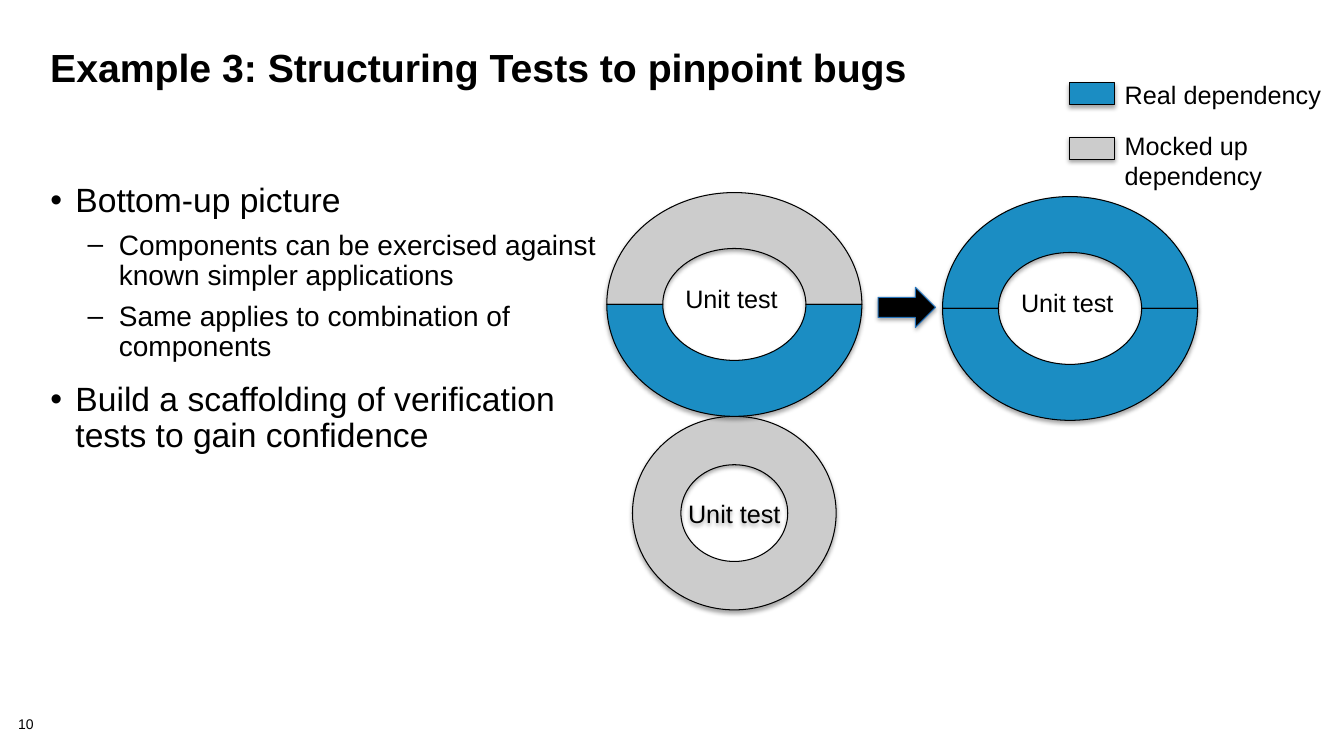
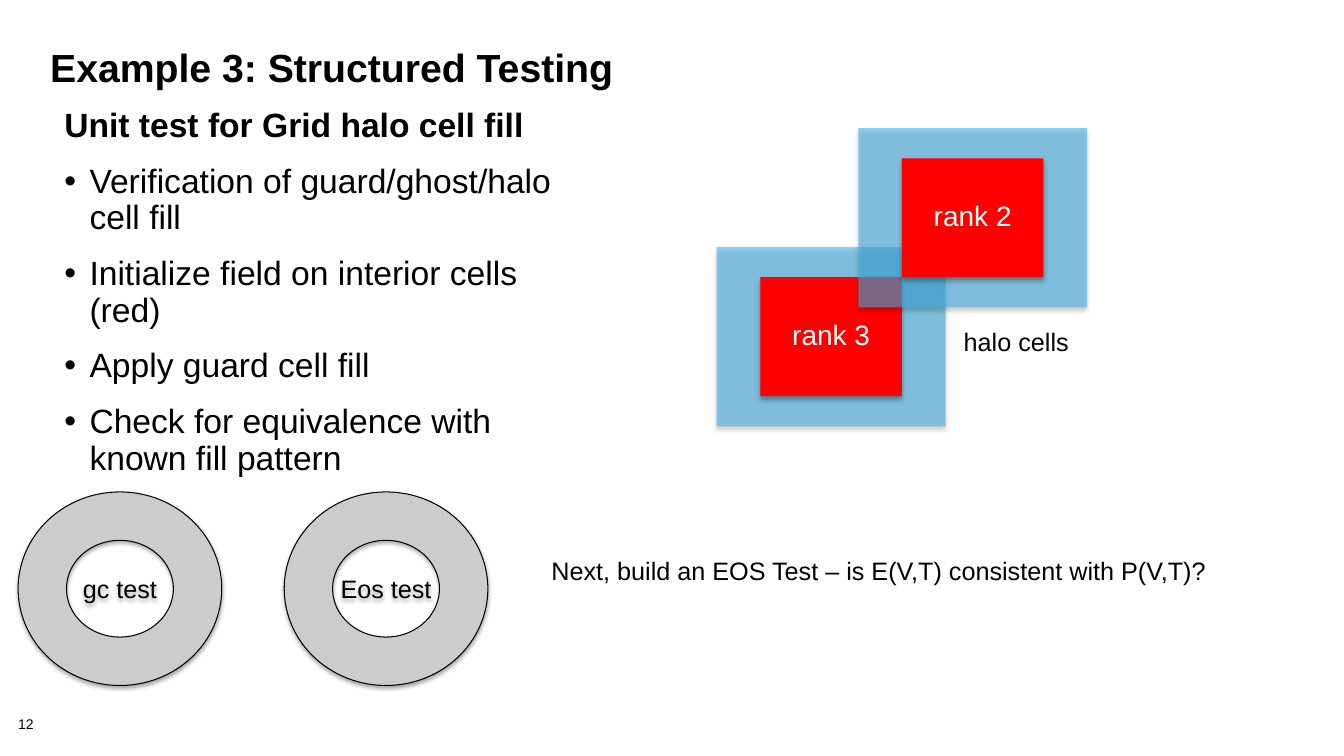
from lxml import etree
from pptx import Presentation
from pptx.dml.color import RGBColor
from pptx.enum.shapes import MSO_SHAPE
from pptx.enum.text import MSO_ANCHOR, MSO_AUTO_SIZE, PP_ALIGN
from pptx.oxml.ns import qn
from pptx.util import Inches, Pt

RECT, DONUT, ARC, ARROW = (MSO_SHAPE.RECTANGLE, MSO_SHAPE.DONUT,
                           MSO_SHAPE.BLOCK_ARC, MSO_SHAPE.RIGHT_ARROW)
TOP, MIDDLE = MSO_ANCHOR.TOP, MSO_ANCHOR.MIDDLE
CENTER, FIT = PP_ALIGN.CENTER, MSO_AUTO_SIZE.SHAPE_TO_FIT_TEXT

FONT = "Arial"
BLACK, WHITE, GRAY, REAL = "000000", "FFFFFF", "CCCCCC", "1B8DC3"
ARROW_EDGE, HALO, INTERIOR = "2673BA", "43B1E5", "FF0000"

# The grid has 100 columns and 100 rows.
WIDTH, HEIGHT = Inches(13.33), Inches(7.5)
RING_W, RING_H = 18.98, 29.6
DONUT_W, DONUT_H = 15.15, 25.6
HALO_W, HALO_H = 17.03, 23.73
GUARD_X, GUARD_Y = 3.25, 4
LABEL_H, NOTE_H = 5.33, 6.27

SOFT = {"alpha": 35, "blur": 3.1, "dist": 1.8}
DEEP = {"alpha": 32, "blur": 3.5, "dist": 2.2}
NARROW, WIDE, NONE = (0.1, 0.05), (0.13, 0.1), (0, 0)

LEVELS = {
    "head": {"size": 24, "bold": True, "before": 14},
    "item": {"size": 24, "before": 14, "bullet": "•", "left": 0.25, "hang": 0.25},
    "sub": {"size": 20, "before": 8, "bullet": "–", "left": 0.68, "hang": 0.31},
}


def rgb(color):
    """Turn a hex string into a colour."""
    return RGBColor.from_string(color)


def place(x, y, w, h):
    """Turn grid columns and rows into lengths."""
    return [round(v * side / 100) for v, side in
            ((x, WIDTH), (y, HEIGHT), (w, WIDTH), (h, HEIGHT))]


def set_frame(tf, inset, anchor, wrap):
    """Set the insets, anchor and wrapping of a text frame."""
    side, edge = (Inches(v) for v in inset)
    values = {"margin_left": side, "margin_right": side, "margin_top": edge,
              "margin_bottom": edge, "vertical_anchor": anchor, "word_wrap": wrap}
    for name, value in values.items():
        setattr(tf, name, value)


def add_run(p, text, size, color=BLACK, bold=False):
    """Add formatted text to a paragraph."""
    r = p.add_run()
    r.text = text
    for name, value in {"name": FONT, "size": Pt(size), "bold": bold}.items():
        setattr(r.font, name, value)
    r.font.color.rgb = rgb(color)


def add_text(slide, box, lines, size=18, bold=False, spacing=1.0,
             inset=NARROW, anchor=TOP, wrap=False):
    """Add a text box with one paragraph for each line."""
    tf = slide.shapes.add_textbox(*place(*box)).text_frame
    set_frame(tf, inset, anchor, wrap)
    if not wrap:
        tf.auto_size = FIT
    for i, line in enumerate(lines):
        p = tf.add_paragraph() if i else tf.paragraphs[0]
        p.line_spacing = spacing
        add_run(p, line, size, bold=bold)


def add_bullet(p, mark, left, hang):
    """Give a paragraph a bullet and a hanging indent."""
    pPr = p._p.get_or_add_pPr()
    pPr.set("marL", str(Inches(left)))
    pPr.set("indent", str(-Inches(hang)))
    color = etree.SubElement(pPr, qn("a:buClr"))
    etree.SubElement(color, qn("a:srgbClr"), val=BLACK)
    etree.SubElement(pPr, qn("a:buFont"), typeface=FONT)
    etree.SubElement(pPr, qn("a:buChar"), char=mark)


def add_body(slide, box, items):
    """Add the list of (level, text) items."""
    tf = slide.shapes.add_textbox(*place(*box)).text_frame
    set_frame(tf, NARROW, TOP, True)
    for i, (level, text) in enumerate(items):
        style = LEVELS[level]
        p = tf.add_paragraph() if i else tf.paragraphs[0]
        if "bullet" in style:
            add_bullet(p, style["bullet"], style["left"], style["hang"])
        p.line_spacing = 0.9
        if i:
            p.space_before = Pt(style["before"])
        add_run(p, text, style["size"], bold=style.get("bold", False))


def add_shadow(s, alpha, blur, dist):
    """Give a shape a soft shadow below it."""
    s.shadow.inherit = False
    effects = s._element.spPr.find(qn("a:effectLst"))
    shadow = etree.SubElement(effects, qn("a:outerShdw"), blurRad=str(Pt(blur)),
                              dist=str(Pt(dist)), dir="5400000", rotWithShape="0")
    color = etree.SubElement(shadow, qn("a:srgbClr"), val=BLACK)
    etree.SubElement(color, qn("a:alpha"), val=str(alpha * 1000))


def add_shape(slide, kind, box, fill, line=BLACK, shadow=SOFT, opacity=None):
    """Add a filled preset shape with a shadow."""
    s = slide.shapes.add_shape(kind, *place(*box))
    s.fill.solid()
    s.fill.fore_color.rgb = rgb(fill)
    if opacity:
        color = s._element.spPr.find(qn("a:solidFill"))[0]
        etree.SubElement(color, qn("a:alpha"), val=str(opacity * 1000))
    if line:
        s.line.color.rgb = rgb(line)
        s.line.width = Pt(0.75)
    else:
        s.line.fill.background()
    add_shadow(s, **shadow)
    return s


def add_caption(s, text, size, color=BLACK, inset=NARROW, spacing=1.0):
    """Centre text inside a shape."""
    set_frame(s.text_frame, inset, MIDDLE, True)
    p = s.text_frame.paragraphs[0]
    p.alignment, p.line_spacing = CENTER, spacing
    add_run(p, text, size, color)


def add_donut(slide, x, y, text):
    """Add a mocked-up test as a whole ring."""
    s = add_shape(slide, DONUT, (x, y, DONUT_W, DONUT_H), GRAY)
    add_caption(s, text, 18)


def add_split_ring(slide, x, y, upper, lower, text):
    """Add a test ring made of an upper and a lower half."""
    box = (x, y, RING_W, RING_H)
    add_shape(slide, ARC, box, upper)
    add_shape(slide, ARC, box, lower)._element.spPr.xfrm.set("flipV", "1")
    add_text(slide, (x + 5.1, y + 11.3, 8.48, LABEL_H), [text])


def add_legend(slide, y, color, text_box, lines):
    """Add a colour key and its label."""
    add_shape(slide, RECT, (79.58, y, 3.38, 2.93), color)
    add_text(slide, (82.95, *text_box), lines)


def add_rank(slide, x, y, text):
    """Add the interior cells of a rank inside their halo."""
    add_shape(slide, RECT, (x, y, HALO_W, HALO_H), HALO, None, DEEP, 58)
    inner = (x + GUARD_X, y + GUARD_Y, HALO_W - 2 * GUARD_X, HALO_H - 2 * GUARD_Y)
    s = add_shape(slide, RECT, inner, INTERIOR, None, DEEP)
    add_caption(s, text, 20, WHITE, (0.13, 0.07), 0.9)


def add_note(slide, x, y, w, text):
    """Add a one-line remark."""
    add_text(slide, (x, y, w, NOTE_H), [text], spacing=0.9, inset=WIDE, anchor=MIDDLE)


def new_slide(prs, title, number):
    """Add a blank slide with its title and number."""
    slide = prs.slides.add_slide(prs.slide_layouts[6])
    slide.background.fill.solid()
    slide.background.fill.fore_color.rgb = rgb(WHITE)
    add_text(slide, (1.35, 94.93, 4.2, 2.13), [number], 10, spacing=0.9,
             inset=NONE, wrap=True)
    add_text(slide, (3, 6, 93.3, 13.33), [title], 28, True, 0.85, wrap=True)
    return slide


def build_pinpoint(prs):
    """Build the slide on pinpointing bugs."""
    slide = new_slide(prs, "Example 3: Structuring Tests to pinpoint bugs", "10")
    add_body(slide, (3, 23.6, 42.15, 62.27), [
        ("item", "Bottom-up picture"),
        ("sub", "Components can be exercised against known simpler applications"),
        ("sub", "Same applies to combination of components"),
        ("item", "Build a scaffolding of verification tests to gain confidence"),
    ])
    x, y = 45.15, 25.47
    add_donut(slide, x + (RING_W - DONUT_W) / 2, y + RING_H, "Unit test")
    add_split_ring(slide, x, y, GRAY, REAL, "Unit test")
    add_legend(slide, 10.93, REAL, (9.87, 16.28, LABEL_H), ["Real dependency"])
    add_legend(slide, 18.13, GRAY, (16.53, 11.85, 9.47), ["Mocked up", "dependency"])
    add_split_ring(slide, 70.13, 26, REAL, REAL, "Unit test")
    add_shape(slide, ARROW, (65.33, 38, 4.28, LABEL_H), BLACK, ARROW_EDGE)


def build_structured(prs):
    """Build the slide on structured testing."""
    slide = new_slide(prs, "Example 3: Structured Testing", "12")
    add_body(slide, (4.05, 13.73, 39.07, 71.33), [
        ("head", "Unit test for Grid halo cell fill"),
        ("item", "Verification of guard/ghost/halo cell fill"),
        ("item", "Initialize field on interior cells (red)"),
        ("item", "Apply guard cell fill"),
        ("item", "Check for equivalence with known fill pattern"),
    ])
    for i, text in enumerate(("gc test", "Eos test")):
        add_donut(slide, 1.35 + i * 19.8, 65.07, text)
    add_note(slide, 40.05, 72.53, 51.08,
             "Next, build an EOS Test – is E(V,T) consistent with P(V,T)?")
    x, y = 53.33, 32.67
    add_rank(slide, x, y, "rank 3")
    add_rank(slide, x + HALO_W - 2 * GUARD_X, y - HALO_H + 2 * GUARD_Y, "rank 2")
    add_note(slide, 70.73, 42.27, 9.83, "halo cells")


def main():
    """Build and save the presentation."""
    prs = Presentation()
    prs.slide_width, prs.slide_height = WIDTH, HEIGHT
    build_pinpoint(prs)
    build_structured(prs)
    prs.save("out.pptx")


if __name__ == "__main__":
    main()
